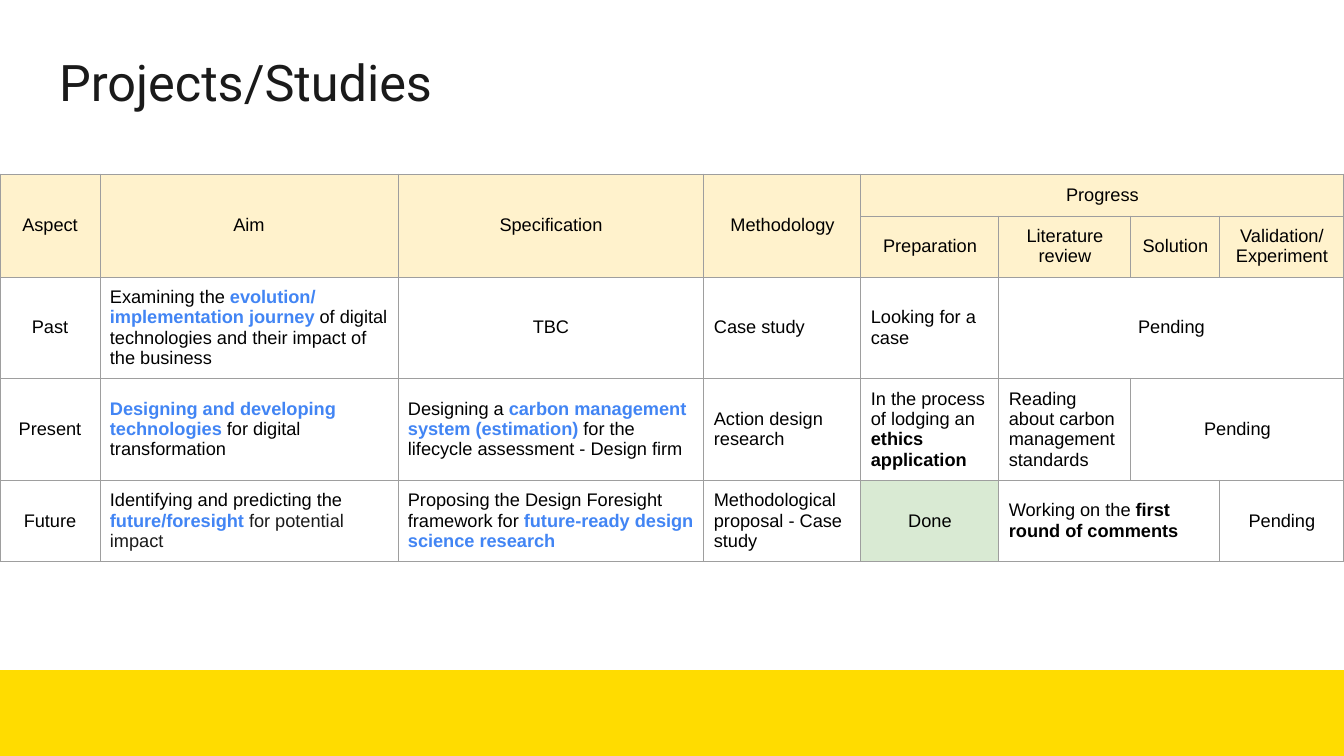
from dataclasses import dataclass

from lxml.etree import SubElement
from pptx import Presentation
from pptx.dml.color import RGBColor
from pptx.enum.shapes import MSO_SHAPE
from pptx.enum.text import MSO_ANCHOR, MSO_AUTO_SIZE, PP_ALIGN
from pptx.oxml.ns import qn
from pptx.util import Emu, Pt


@dataclass(frozen=True)
class Theme:
    ink: str = "1A1A1A"
    text: str = "000000"
    accent: str = "4285F4"
    header: str = "FFF2CC"
    done: str = "D9EAD3"
    band: str = "FFDC00"
    border: str = "9E9E9E"
    title_font: str = "Roboto"
    body_font: str = "Arial"
    title_size: int = 36
    body_size: int = 13
    border_width: float = 0.75


THEME = Theme()
WIDTH, HEIGHT = 1344, 756
BAND_TOP = 670
TABLE_TOP = 174
CELL_MARGIN = 10
COLUMNS = [100, 298, 306, 157, 138, 132, 89, 124]
ROWS = [42, 61, 101, 102, 81]


@dataclass(frozen=True)
class Run:
    text: str
    color: str = THEME.text
    bold: bool = False


@dataclass(frozen=True)
class Entry:
    """One table cell; each inner tuple of runs is a paragraph."""
    row: int
    col: int
    paragraphs: tuple[tuple[Run, ...], ...]
    centered: bool = False
    fill: str | None = None
    rows: int = 1
    cols: int = 1


def px(n: int) -> Emu:
    return Emu(round(n * 914400 / 100.8))


def rgb(color: str) -> RGBColor:
    return RGBColor.from_string(color)


def key(text: str) -> Run:
    return Run(text, THEME.accent, True)


def bold(text: str) -> Run:
    return Run(text, bold=True)


def header(row: int, col: int, *lines: str, rows: int = 1, cols: int = 1) -> Entry:
    return Entry(row, col, tuple((Run(t),) for t in lines), True, THEME.header, rows, cols)


def label(row: int, col: int, text: str, cols: int = 1, fill: str | None = None) -> Entry:
    return Entry(row, col, ((Run(text),),), True, fill, cols=cols)


def prose(row: int, col: int, *runs: Run, cols: int = 1) -> Entry:
    return Entry(row, col, (runs,), cols=cols)


ENTRIES = [
    *(header(0, col, text, rows=2)
      for col, text in enumerate(["Aspect", "Aim", "Specification", "Methodology"])),
    header(0, 4, "Progress", cols=4),
    header(1, 4, "Preparation"),
    header(1, 5, "Literature review"),
    header(1, 6, "Solution"),
    header(1, 7, "Validation/", "Experiment"),

    label(2, 0, "Past"),
    prose(2, 1, Run("Examining the "), key("evolution/ implementation journey"),
          Run(" of digital technologies and their impact of the business")),
    label(2, 2, "TBC"),
    prose(2, 3, Run("Case study")),
    prose(2, 4, Run("Looking for a case")),
    label(2, 5, "Pending", cols=3),

    label(3, 0, "Present"),
    prose(3, 1, key("Designing and developing technologies "),
          Run("for digital transformation")),
    prose(3, 2, Run("Designing a "), key("carbon management system (estimation)"),
          Run(" for the lifecycle assessment - Design firm")),
    prose(3, 3, Run("Action design research")),
    prose(3, 4, Run("In the process of lodging an "), bold("ethics application")),
    prose(3, 5, Run("Reading about carbon management standards")),
    label(3, 6, "Pending", cols=2),

    label(4, 0, "Future"),
    prose(4, 1, Run("Identifying and predicting the "), key("future/foresight "),
          Run("for potential impact", THEME.ink)),
    prose(4, 2, Run("Proposing the Design Foresight framework for "),
          key("future-ready design science research")),
    prose(4, 3, Run("Methodological proposal - Case study")),
    label(4, 4, "Done", fill=THEME.done),
    prose(4, 5, Run("Working on the "), bold("first round of comments"), cols=2),
    label(4, 7, "Pending"),
]


def add_run(p, run: Run, font: str, size: int) -> None:
    r = p.add_run()
    r.text = run.text
    r.font.name = font
    r.font.size = Pt(size)
    r.font.bold = run.bold
    r.font.color.rgb = rgb(run.color)


def add_borders(cell) -> None:
    tc_pr = cell._tc.get_or_add_tcPr()
    for i, side in enumerate(["lnL", "lnR", "lnT", "lnB"]):
        ln = SubElement(tc_pr, qn(f"a:{side}"), w=str(Pt(THEME.border_width)))
        fill = SubElement(ln, qn("a:solidFill"))
        SubElement(fill, qn("a:srgbClr"), val=THEME.border)
        tc_pr.insert(i, ln)


def fill_cell(table, entry: Entry) -> None:
    cell = table.cell(entry.row, entry.col)
    if entry.rows > 1 or entry.cols > 1:
        cell.merge(table.cell(entry.row + entry.rows - 1, entry.col + entry.cols - 1))
    if entry.fill:
        cell.fill.solid()
        cell.fill.fore_color.rgb = rgb(entry.fill)
    tf = cell.text_frame
    for i, runs in enumerate(entry.paragraphs):
        p = tf.add_paragraph() if i else tf.paragraphs[0]
        p.alignment = PP_ALIGN.CENTER if entry.centered else PP_ALIGN.LEFT
        for run in runs:
            add_run(p, run, THEME.body_font, THEME.body_size)


def add_progress_table(s) -> None:
    frame = s.shapes.add_table(len(ROWS), len(COLUMNS), 0, px(TABLE_TOP),
                               px(sum(COLUMNS)), px(sum(ROWS)))
    table = frame.table
    table.first_row = table.horz_banding = False
    for column, width in zip(table.columns, COLUMNS):
        column.width = px(width)
    for row, height in zip(table.rows, ROWS):
        row.height = px(height)
    for cell in table.iter_cells():
        cell.fill.background()
        cell.vertical_anchor = MSO_ANCHOR.MIDDLE
        cell.margin_left = cell.margin_right = px(CELL_MARGIN)
        cell.margin_top = cell.margin_bottom = px(CELL_MARGIN)
        cell.text_frame.paragraphs[0].font.size = Pt(THEME.body_size)
        add_borders(cell)
    for entry in ENTRIES:
        fill_cell(table, entry)


def add_band(s) -> None:
    sp = s.shapes.add_shape(MSO_SHAPE.RECTANGLE, 0, px(BAND_TOP),
                            px(WIDTH), px(HEIGHT - BAND_TOP))
    sp.shadow.inherit = False
    sp.fill.solid()
    sp.fill.fore_color.rgb = rgb(THEME.band)
    sp.line.fill.background()


def set_title(s, text: str) -> None:
    sp = s.shapes.title
    sp.left, sp.top, sp.width, sp.height = px(49), px(8), px(1159), px(146)
    tf = sp.text_frame
    tf.auto_size = MSO_AUTO_SIZE.NONE
    tf.vertical_anchor = MSO_ANCHOR.MIDDLE
    p = tf.paragraphs[0]
    p.alignment = PP_ALIGN.LEFT
    add_run(p, Run(text, THEME.ink), THEME.title_font, THEME.title_size)


def main() -> None:
    prs = Presentation()
    prs.slide_width, prs.slide_height = px(WIDTH), px(HEIGHT)
    s = prs.slides.add_slide(prs.slide_layouts[5])
    add_band(s)
    set_title(s, "Projects/Studies")
    add_progress_table(s)
    prs.save("out.pptx")


if __name__ == "__main__":
    main()
